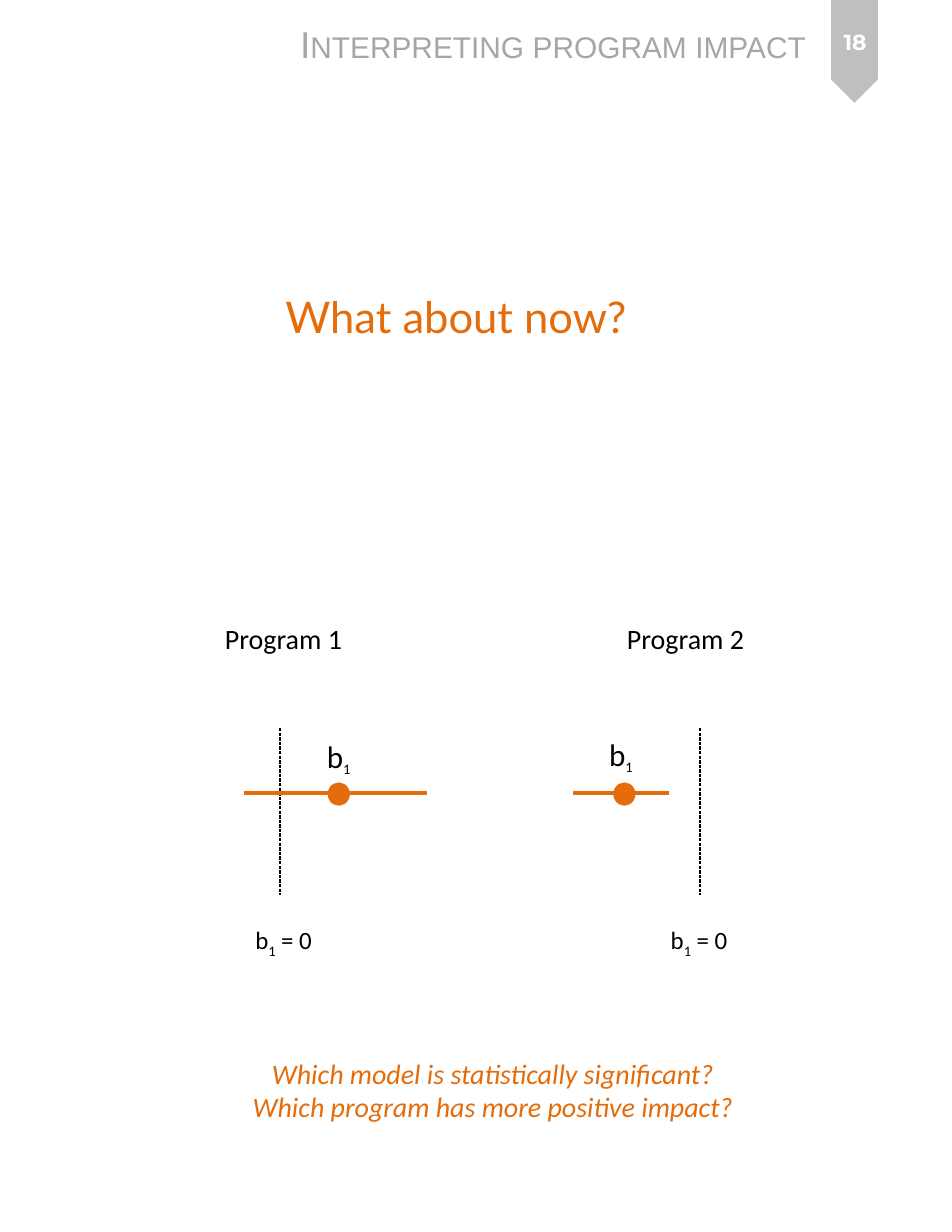
from dataclasses import dataclass

from lxml.etree import SubElement
from pptx import Presentation
from pptx.dml.color import RGBColor
from pptx.enum.dml import MSO_LINE
from pptx.enum.shapes import MSO_CONNECTOR, MSO_SHAPE
from pptx.enum.text import MSO_ANCHOR as Anchor, MSO_AUTO_SIZE as AutoSize, PP_ALIGN as Align
from pptx.oxml.ns import qn
from pptx.util import Pt

BLACK = RGBColor(0x00, 0x00, 0x00)
WHITE = RGBColor(0xFF, 0xFF, 0xFF)
ORANGE = RGBColor(0xE4, 0x6C, 0x0A)
TITLE_GRAY = RGBColor(0xA6, 0xA6, 0xA6)
PENNANT_GRAY = RGBColor(0xBF, 0xBF, 0xBF)

ZERO_TOP, ZERO_BOTTOM = 468, 575.3
INTERVAL_Y = 509.8
DOT_WIDTH, DOT_HEIGHT = 12.24, 12.96


@dataclass
class Program:
    """Horizontal places of one program's confidence interval and labels."""
    name: str
    name_left: float
    zero_x: float
    zero_label_left: float
    low: float
    high: float
    estimate: float
    label_left: float
    label_top: float


def add_text(slide, place, lines, size, color, font="Calibri", wrap=False,
             align=None, grow=True, **styles):
    """Add a text box whose lines are lists of (text, style) runs."""
    box = slide.shapes.add_textbox(*map(Pt, place))
    frame = box.text_frame
    frame.word_wrap = wrap
    frame.auto_size = AutoSize.SHAPE_TO_FIT_TEXT if grow else AutoSize.NONE
    for index, runs in enumerate(lines):
        para = frame.paragraphs[0] if index == 0 else frame.add_paragraph()
        para.alignment = align
        for text, extra in runs:
            add_run(para, text, size, color, font, {**styles, **extra})
    return box


def add_run(para, text, size, color, font, styles):
    """Add one formatted run, with optional subscript or small capitals."""
    span = para.add_run()
    span.text = text
    span.font.name = font
    span.font.size = Pt(styles.get("size", size))
    span.font.color.rgb = color
    span.font.bold = styles.get("bold")
    span.font.italic = styles.get("italic")
    properties = span._r.get_or_add_rPr()
    if styles.get("subscript"):
        properties.set("baseline", "-25000")
    if styles.get("small_caps"):
        properties.set("cap", "small")


def add_line(slide, start, end, color, width, dash=None):
    """Add a straight line without a shadow."""
    line = slide.shapes.add_connector(MSO_CONNECTOR.STRAIGHT, *map(Pt, (*start, *end)))
    line.line.color.rgb = color
    line.line.width = Pt(width)
    if dash:
        line.line.dash_style = dash
    SubElement(line._element.spPr, qn("a:effectLst"))


def add_filled_shape(slide, kind, place, color, line_width=0):
    """Add a preset shape in one colour, outlined when a width is given."""
    shape = slide.shapes.add_shape(kind, *map(Pt, place))
    shape.shadow.inherit = False
    shape.fill.solid()
    shape.fill.fore_color.rgb = color
    if line_width:
        shape.line.color.rgb = color
        shape.line.width = Pt(line_width)
    else:
        shape.line.fill.background()
    return shape


def add_header(slide):
    """Add the section title and the page number on its pennant."""
    pennant = add_filled_shape(slide, MSO_SHAPE.PENTAGON, (516.2, 18, 66.2, 30.2), PENNANT_GRAY)
    pennant.rotation = 90
    add_text(slide, (185.8, 10, 357.1, 36), [[("Interpreting program impact", {})]],
             24, TITLE_GRAY, "Arial", small_caps=True)
    number = add_text(slide, (522.7, 5.8, 54, 42.5), [[("18", {})]], 14, WHITE, "Montserrat",
                      wrap=True, align=Align.CENTER, grow=False, bold=True)
    number.text_frame.vertical_anchor = Anchor.MIDDLE


def add_program(slide, program):
    """Add one program's interval, estimate and zero line with their labels."""
    add_text(slide, (program.name_left, 396, 90.7, 28.8), [[(program.name, {})]], 18, BLACK)
    add_line(slide, (program.zero_x, ZERO_TOP), (program.zero_x, ZERO_BOTTOM),
             BLACK, 0.75, MSO_LINE.SQUARE_DOT)
    add_text(slide, (program.zero_label_left, 591.1, 51.8, 26.6),
             [[("b", {}), ("1", {"subscript": True}), (" = 0", {})]], 16, BLACK)
    add_line(slide, (program.low, INTERVAL_Y), (program.high, INTERVAL_Y), ORANGE, 2)
    add_filled_shape(slide, MSO_SHAPE.OVAL,
                     (program.estimate - DOT_WIDTH / 2, 504, DOT_WIDTH, DOT_HEIGHT), ORANGE, 2)
    add_text(slide, (program.label_left, program.label_top, 30.2, 31.7),
             [[("b", {}), ("1", {"size": 16, "subscript": True})]], 20, BLACK)


def main():
    """Build the page and save it."""
    deck = Presentation()
    deck.slide_width, deck.slide_height = Pt(612), Pt(792)
    page = deck.slides.add_slide(deck.slide_layouts[6])
    add_header(page)
    add_text(page, (176.4, 182.9, 283, 41), [[("What about now?", {})]],
             28, ORANGE, "Lato", wrap=True)
    programs = (
        Program("Program 1", 137.5, 180, 157, 157, 274.3, 217.8, 203, 470.2),
        Program("Program 2", 396, 450, 424.1, 368.6, 429.8, 401.4, 384.5, 469.4),
    )
    for program in programs:
        add_program(page, program)
    questions = ("Which model is statistically significant?",
                 "Which program has more positive impact?")
    add_text(page, (153.4, 675.4, 326.9, 51.1), [[(question, {})] for question in questions],
             18, ORANGE, align=Align.CENTER, italic=True)
    deck.save("out.pptx")


if __name__ == "__main__":
    main()
